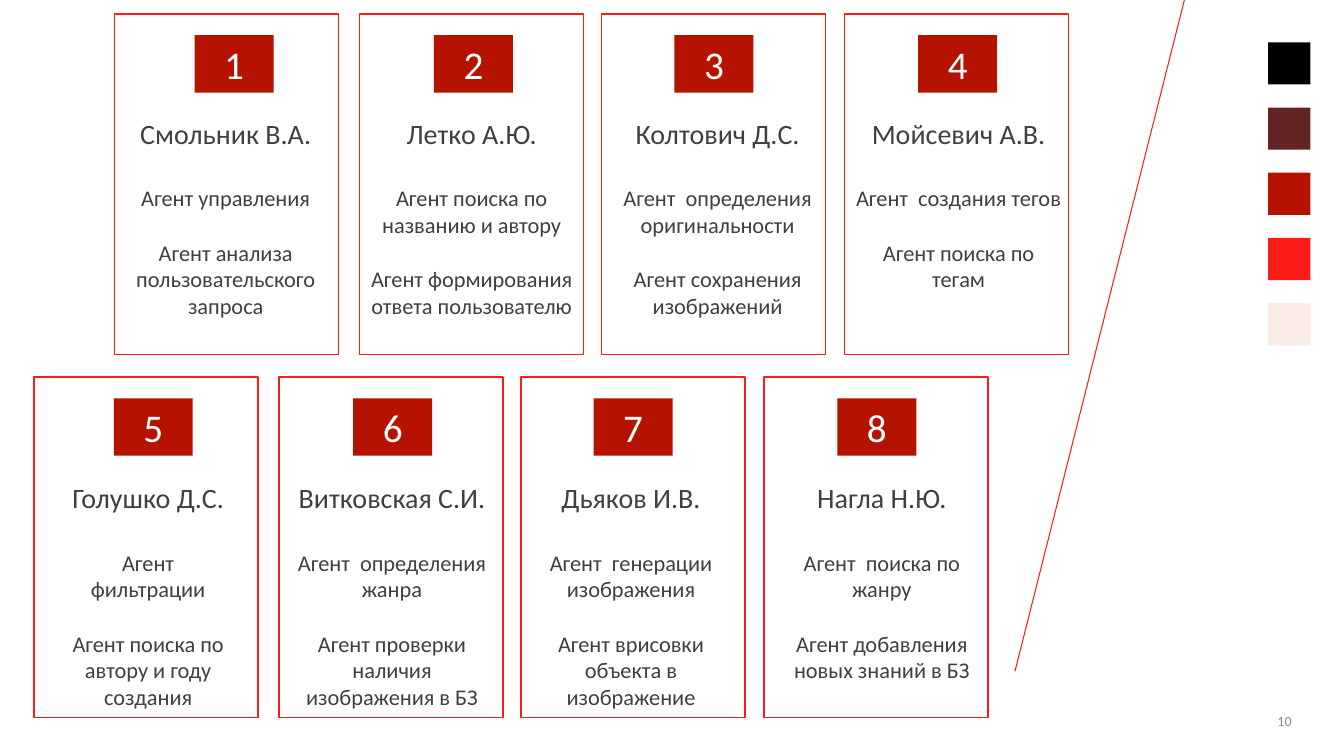
from pptx import Presentation
from pptx.dml.color import RGBColor
from pptx.enum import shapes, text
from pptx.util import Pt

RED, DARK_RED, WHITE, GREY = "FD1B17", "B51200", "FFFFFF", "404040"
SWATCHES = ["000000", "632423", DARK_RED, RED, "F9EBE5"]
BADGE_OFFSETS = [57, 53, 52, 52.5]
CARD_LEFTS = [82, 257, 429.8, 603.4]
ROW_SHIFT = 57.7
ROWS = [
    (10, 79.9, [
        (79.9, "Смольник В.А.", ["Агент управления", "Агент анализа пользовательского запроса"]),
        (255.6, "Летко А.Ю.", ["Агент поиска по названию и автору", "Агент формирования ответа пользователю"]),
        (431.3, "Колтович Д.С.", ["Агент  определения оригинальности", "Агент сохранения изображений"]),
        (603.4, "Мойсевич А.В.", ["Агент  создания тегов", "Агент поиска по тегам"]),
    ]),
    (269.3, 340, [
        (24.5, "Голушко Д.С.", ["Агент\nфильтрации", "Агент поиска по автору и году создания"]),
        (198.7, "Витковская С.И.", ["Агент  определения жанра", "Агент проверки наличия изображения в БЗ"]),
        (369.4, "Дьяков И.В.", ["Агент  генерации изображения", "Агент врисовки объекта в изображение"]),
        (548.6, "Нагла Н.Ю.", ["Агент  поиска по жанру", "Агент добавления новых знаний в БЗ"]),
    ]),
]


def rgb(value):
    """Return a colour from a hex string."""
    return RGBColor.from_string(value)


def style(p, size, color, align=text.PP_ALIGN.CENTER):
    """Set the font and alignment of a paragraph."""
    p.alignment = align
    p.font.name = "Calibri"
    p.font.size = Pt(size)
    p.font.color.rgb = rgb(color)


def add_box(s, x, y, w, h, fill, line=None):
    """Add a filled rectangle with an optional outline."""
    sp = s.shapes.add_shape(shapes.MSO_SHAPE.RECTANGLE, Pt(x), Pt(y), Pt(w), Pt(h))
    sp.shadow.inherit = False
    sp.fill.solid()
    sp.fill.fore_color.rgb = rgb(fill)
    if line:
        sp.line.color.rgb = rgb(line)
        sp.line.width = Pt(1)
    else:
        sp.line.fill.background()
    return sp


def add_badge(s, x, y, number):
    """Add a numbered red rectangle."""
    tf = add_box(s, x, y, 56.4, 41, DARK_RED).text_frame
    tf.vertical_anchor = text.MSO_ANCHOR.MIDDLE
    tf.text = str(number)
    style(tf.paragraphs[0], 28, WHITE)


def add_text(s, x, y, w, h):
    """Add a wrapping text box and return its text frame."""
    tf = s.shapes.add_textbox(Pt(x), Pt(y), Pt(w), Pt(h)).text_frame
    tf.word_wrap = True
    return tf


def add_person(s, x, y, name, agents):
    """Add a name followed by spaced agent descriptions."""
    tf = add_text(s, x, y, 162.7, 172)
    tf.auto_size = text.MSO_AUTO_SIZE.SHAPE_TO_FIT_TEXT
    tf.text = name
    style(tf.paragraphs[0], 20, GREY)
    for agent, gap in zip(agents, (24.4, 19.5)):
        for i, line in enumerate(agent.split("\n")):
            p = tf.add_paragraph()
            p.text = line
            p.space_before = Pt(0 if i else gap)
            style(p, 16, GREY)


def add_line(s, x1, y1, x2, y2):
    """Add a thin red line."""
    line = s.shapes.add_connector(shapes.MSO_CONNECTOR.STRAIGHT, Pt(x1), Pt(y1), Pt(x2), Pt(y2))
    line.line.color.rgb = rgb(RED)
    line.line.width = Pt(0.75)
    effects = line._element.spPr.makeelement(
        "{http://schemas.openxmlformats.org/drawingml/2006/main}effectLst", {})
    line._element.spPr.append(effects)


def main():
    """Build the slide of team members and their agents."""
    prs = Presentation()
    prs.slide_width, prs.slide_height = Pt(960), Pt(540)
    s = prs.slides.add_slide(prs.slide_layouts[6])
    for i, color in enumerate(SWATCHES):
        add_box(s, 905.8, 30.2 + 46.6 * i, 30.2, 30.2, color)
    add_line(s, 846, 0, 725, 479.5)
    for row, (top, text_top, people) in enumerate(ROWS):
        for col, (text_left, name, agents) in enumerate(people):
            left = CARD_LEFTS[col] - ROW_SHIFT * row
            add_box(s, left, top, 160, 243.3, WHITE, RED)
            add_badge(s, left + BADGE_OFFSETS[col], top + 15.2, 4 * row + col + 1)
            add_person(s, text_left, text_top, name, agents)
    tf = add_text(s, 808.6, 500.4, 121, 28.8)
    tf.vertical_anchor = text.MSO_ANCHOR.MIDDLE
    tf.text = "10"
    style(tf.paragraphs[0], 10, "898989", text.PP_ALIGN.RIGHT)
    prs.save("out.pptx")


if __name__ == "__main__":
    main()
